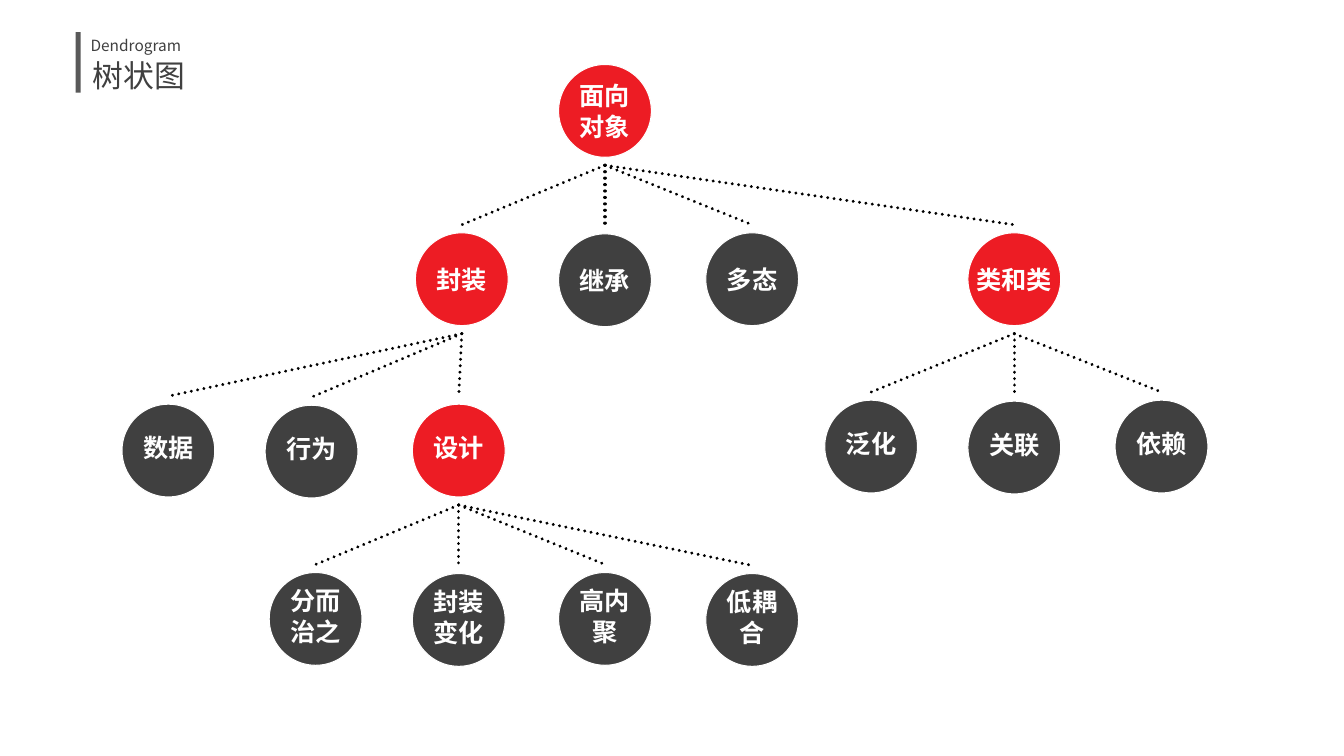
from dataclasses import dataclass
from lxml.etree import SubElement
from pptx import Presentation
from pptx.dml.color import RGBColor
from pptx.enum.dml import MSO_LINE
from pptx.enum.shapes import MSO_CONNECTOR, MSO_SHAPE
from pptx.enum.text import MSO_ANCHOR, MSO_AUTO_SIZE, PP_ALIGN
from pptx.oxml.ns import qn
from pptx.util import Pt

PX = 9144
FONT = "Noto Sans CJK SC"
RED = RGBColor(0xED, 0x1C, 0x24)
DARK = RGBColor(0x40, 0x40, 0x40)
GRAY = RGBColor(0x59, 0x59, 0x59)
WHITE = RGBColor(0xFF, 0xFF, 0xFF)
BLACK = RGBColor(0x00, 0x00, 0x00)
DIAMETER = 92
LINK_GAP = 54


@dataclass
class Concept:
    """A circle of the tree: label, centre, upward nudge of the label, children."""
    label: str
    x: int
    y: int
    lift: int = 0
    children: tuple = ()


DESIGN = Concept("设计", 455, 447, 3, (
    Concept("分而\n治之", 313, 614, 3),
    Concept("封装\n变化", 455, 615, 3),
    Concept("高内\n聚", 600, 614, 3),
    Concept("低耦\n合", 746, 615, 3),
))
ENCAPSULATION = Concept("封装", 458, 277, 0, (
    Concept("数据", 167, 447, 3),
    Concept("行为", 309, 448, 3),
    DESIGN,
))
CLASS_RELATIONS = Concept("类和类", 1006, 277, 0, (
    Concept("泛化", 864, 443, 3),
    Concept("关联", 1006, 444, 3),
    Concept("依赖", 1152, 443, 3),
))
OBJECT_ORIENTATION = Concept("面向\n对象", 600, 110, 0, (
    ENCAPSULATION,
    Concept("继承", 600, 278),
    Concept("多态", 746, 277),
    CLASS_RELATIONS,
))


def emu(*lengths):
    """Turn px lengths into EMU."""
    return [length * PX for length in lengths]


def format_text(text_frame, size, color, bold=False, align=PP_ALIGN.LEFT):
    """Apply font, size, colour and alignment to all text of a frame."""
    for paragraph in text_frame.paragraphs:
        paragraph.alignment = align
        for run in paragraph.runs:
            font = run.font
            font.name, font.size, font.bold = FONT, Pt(size), bold
            font.color.rgb = color
            east_asian = SubElement(font._element, qn("a:ea"))
            east_asian.set("typeface", FONT)


def add_heading(slide, left, top):
    """Place the accent bar, the small caption and the title."""
    bar = slide.shapes.add_shape(MSO_SHAPE.RECTANGLE, *emu(left, top, 5, 60))
    bar.shadow.inherit = False
    bar.fill.solid()
    bar.fill.fore_color.rgb = GRAY
    bar.line.fill.background()

    title = slide.shapes.title
    title.left, title.top, title.width, title.height = emu(left + 7, top + 20, 264, 46)
    title.text_frame.text = "树状图"
    title.text_frame.auto_size = MSO_AUTO_SIZE.NONE
    title.text_frame.vertical_anchor = MSO_ANCHOR.MIDDLE
    format_text(title.text_frame, 22, DARK)

    caption = slide.shapes.add_textbox(*emu(left + 5, top - 7, 306, 33)).text_frame
    caption.word_wrap = True
    caption.text = "Dendrogram"
    caption.paragraphs[0].line_spacing = 1.3
    format_text(caption, 11, DARK)


def add_circle(slide, concept):
    """Draw a labelled circle, red when the concept branches further."""
    corner = emu(concept.x - DIAMETER // 2, concept.y - DIAMETER // 2)
    circle = slide.shapes.add_shape(MSO_SHAPE.OVAL, *corner, *emu(DIAMETER, DIAMETER))
    circle.shadow.inherit = False
    circle.fill.solid()
    circle.fill.fore_color.rgb = RED if concept.children else DARK
    circle.line.color.rgb = WHITE
    circle.line.width = Pt(0.75)

    label = circle.text_frame
    label.word_wrap = False
    label.vertical_anchor = MSO_ANCHOR.MIDDLE
    label.margin_left = label.margin_right = label.margin_top = 0
    label.margin_bottom = 2 * concept.lift * PX
    label.text = concept.label
    format_text(label, 18, WHITE, bold=True, align=PP_ALIGN.CENTER)


def add_link(slide, parent, child):
    """Draw a dotted line from below the parent to above the child."""
    ends = emu(parent.x, parent.y + LINK_GAP, child.x, child.y - LINK_GAP)
    link = slide.shapes.add_connector(MSO_CONNECTOR.STRAIGHT, *ends)
    link.line.color.rgb = BLACK
    link.line.width = Pt(2.3)
    link.line.dash_style = MSO_LINE.ROUND_DOT
    link.line._get_or_add_ln().set("cap", "rnd")
    SubElement(link._element.spPr, qn("a:effectLst"))


def add_tree(slide, concept):
    """Draw a concept and, below it, all its descendants."""
    add_circle(slide, concept)
    for child in concept.children:
        add_link(slide, concept, child)
        add_tree(slide, child)


def main():
    """Build the dendrogram slide and save it."""
    presentation = Presentation()
    presentation.slide_width, presentation.slide_height = emu(1333, 750)
    slide = presentation.slides.add_slide(presentation.slide_layouts[5])
    add_heading(slide, 75, 32)
    add_tree(slide, OBJECT_ORIENTATION)
    presentation.save("out.pptx")


if __name__ == "__main__":
    main()
